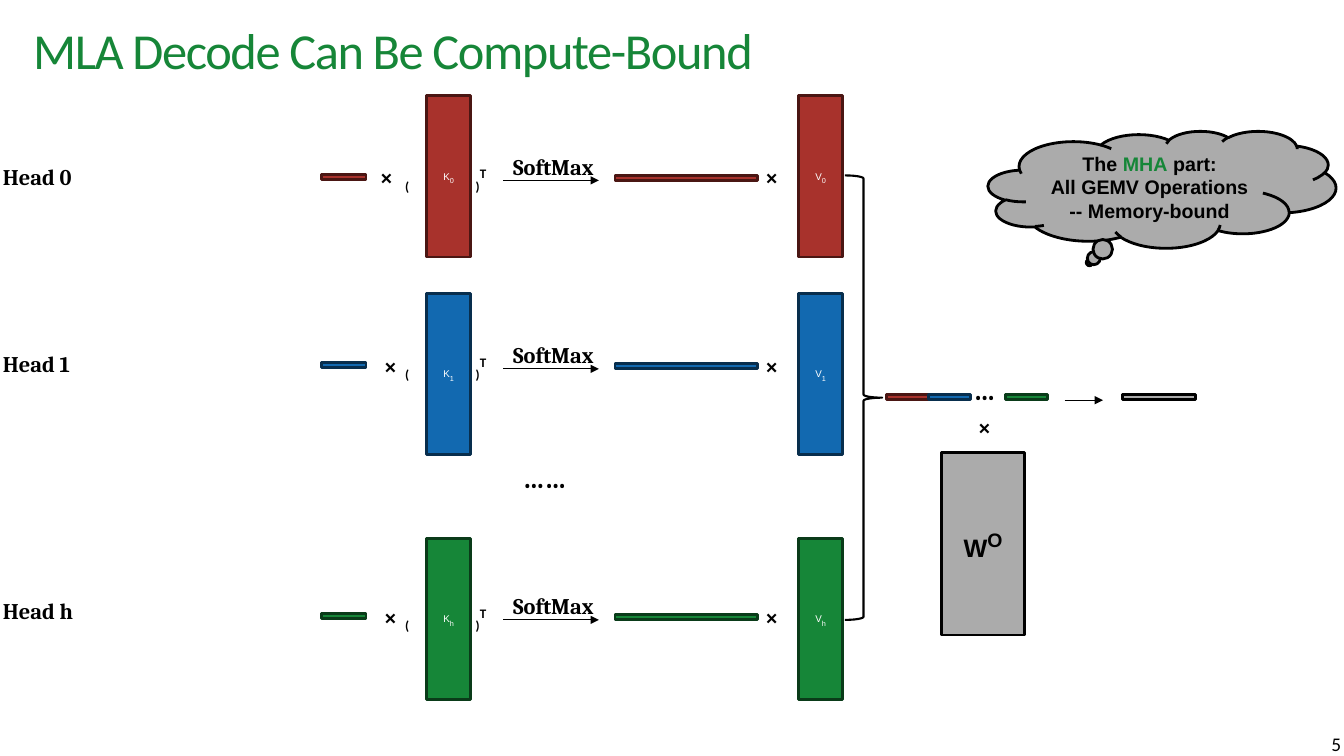
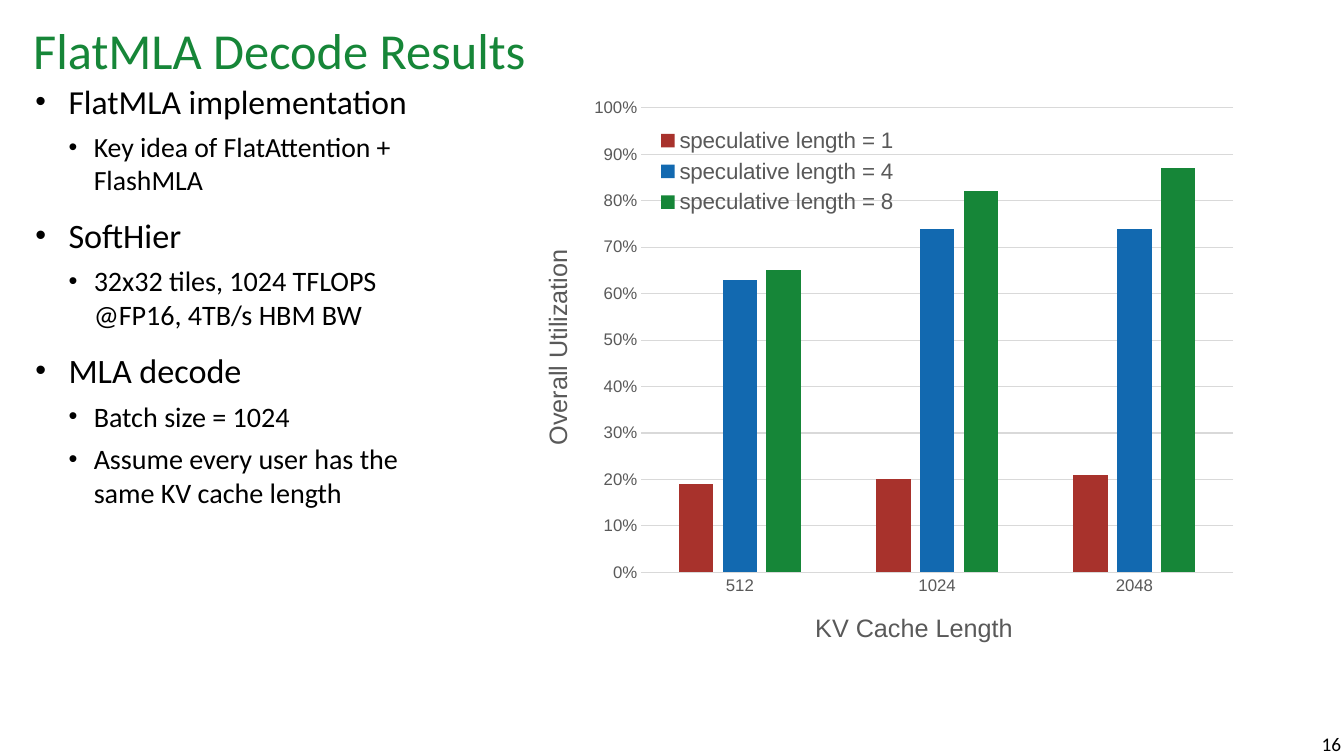
"""Build two slides on MLA decode: the multi-head data flow and utilization results."""
from lxml.etree import SubElement
from pptx import Presentation
from pptx.chart.data import CategoryChartData
from pptx.dml.color import RGBColor
from pptx.enum.chart import XL_CHART_TYPE as CHART, XL_LEGEND_POSITION as LEGEND, XL_TICK_MARK as TICK
from pptx.enum.shapes import MSO_CONNECTOR as CONNECTOR, MSO_SHAPE as SHAPE
from pptx.enum.text import MSO_ANCHOR as ANCHOR, PP_ALIGN as ALIGN
from pptx.oxml import parse_xml
from pptx.oxml.ns import nsdecls, qn
from pptx.util import Pt

PX = 9144
COLORS = {
    "black": "000000", "white": "FFFFFF", "gray": "ABABAB",
    "red": "A8322C", "red_edge": "4A1613", "blue": "1269B0", "blue_edge": "082E4D",
    "green": "168638", "green_edge": "0A3B19", "axis": "595959", "grid": "D9D9D9",
}
TITLES = [("MLA Decode Can Be Compute-Bound", "5", -100), ("FlatMLA Decode Results", "16", 0)]
DIAMONDS = [(1212, 42, 41, 41), (1235, 25, 74, 74)]

# index, colour, row top, label top, matrix top, left of the first ×
HEADS = [
    ("0", "red", 157, 157, 95, 367),
    ("1", "blue", 344, 342, 291, 371),
    ("h", "green", 593, 588, 534, 371),
]
MATRICES = [("K", 423), ("V", 792)]
CONCAT = [("red", 879), ("blue", 921), ("green", 997)]
CALLOUT = [
    [("The ", {}), ("MHA", {"color": "green"}), (" part:", {})],
    [("All GEMV Operations", {})],
    [("-- Memory-bound", {})],
]
# level, size, text
BULLETS = [
    (0, 24, "FlatMLA implementation"),
    (1, 19.8, "Key idea of FlatAttention + FlashMLA"),
    (0, 24.4, "SoftHier"),
    (1, 20.1, "32x32 tiles, 1024 TFLOPS @FP16, 4TB/s HBM BW"),
    (0, 24.4, "MLA decode"),
    (1, 20.1, "Batch size = 1024"),
    (1, 20.1, "Assume every user has the same KV cache length"),
]
# space before, left margin, hanging indent
LEVELS = [(12.7, 33, 33), (6.3, 58, 25)]
CHART_BOX = (514, 87, 724, 616)
CATEGORIES = ["512", "1024", "2048"]
SERIES = [
    ("speculative length = 1", "red", (0.19, 0.20, 0.21)),
    ("speculative length = 4", "blue", (0.63, 0.74, 0.74)),
    ("speculative length = 8", "green", (0.65, 0.82, 0.87)),
]


def rgb(name):
    return RGBColor.from_string(COLORS[name])


def px(*values):
    return [v * PX for v in values]


def style(font, size, face, color, bold=False):
    font.size, font.name, font.bold = Pt(size), face, bold
    font.color.rgb = rgb(color)


def write(tf, lines, size, face, color="black", bold=False, align=ALIGN.LEFT):
    for i, runs in enumerate(lines):
        p = tf.paragraphs[0] if i == 0 else tf.add_paragraph()
        p.alignment = align
        for text, extra in runs:
            r = p.add_run()
            r.text = text
            style(r.font, extra.get("size", size), face, extra.get("color", color), bold)
            for key in ("baseline", "spc"):
                if extra.get(key):
                    r._r.get_or_add_rPr().set(key, str(extra[key]))


def add_text(s, box, runs, size, face, **look):
    tf = s.shapes.add_textbox(*px(*box)).text_frame
    tf.word_wrap = True
    write(tf, [runs], size, face, **look)
    return tf


def add_mark(s, x, y, w, text, size=16):
    add_text(s, (x, y, w, 37), [(text, {})], size, "Cambria", bold=True)


def add_shape(s, kind, box, fill, edge="black", weight=2):
    sp = s.shapes.add_shape(kind, *px(*box))
    sp.shadow.inherit = False
    if fill:
        sp.fill.solid()
        sp.fill.fore_color.rgb = rgb(fill)
    else:
        sp.fill.background()
    if edge:
        sp.line.color.rgb = rgb(edge)
        sp.line.width = Pt(weight)
    else:
        sp.line.fill.background()
    sp.text_frame.vertical_anchor = ANCHOR.MIDDLE
    return sp


def add_block(s, box, color):
    return add_shape(s, SHAPE.RECTANGLE, box, color, color + "_edge")


def add_arrow(s, x1, x2, y):
    line = s.shapes.add_connector(CONNECTOR.STRAIGHT, *px(x1, y, x2, y))
    line.line.color.rgb = rgb("black")
    line.line.width = Pt(0.75)
    SubElement(line.line._get_or_add_ln(), qn("a:tailEnd"), type="triangle")
    SubElement(line._element.spPr, qn("a:effectLst"))


def add_slide(prs, title, number, spacing):
    s = prs.slides.add_slide(prs.slide_layouts[6])
    for box in DIAMONDS:
        sp = add_shape(s, SHAPE.ROUNDED_RECTANGLE, box, "white", None)
        sp.adjustments[0] = 0.05
        sp.rotation = 45
    tf = add_text(s, (33, 19, 1273, 68), [(title, {"spc": spacing})], 36, "Calibri", color="green")
    tf.margin_left = tf.margin_right = tf.margin_top = tf.margin_bottom = 0
    tf.vertical_anchor = ANCHOR.MIDDLE
    tf.paragraphs[0].line_spacing = 0.9
    tf = add_text(s, (1247, 720, 93, 34), [(number, {})], 13.8, "Calibri", align=ALIGN.RIGHT)
    tf.vertical_anchor = ANCHOR.BOTTOM
    return s


def draw_head(s, index, color, top, label_top, matrix_top, times_x):
    add_mark(s, -7, label_top, 141, f"Head {index}")
    add_block(s, (319, top + 16, 44, 5), color)
    add_mark(s, times_x, top, 32, "×")
    sub, sup = {"baseline": -25000}, {"baseline": 30000}
    for x, runs in [(392, [("(", sub)]), (462, [(")", sub), ("T", sup)])]:
        add_text(s, (x, top, 36, 28), runs, 16, "Calibri", bold=True)
    add_arrow(s, 499, 594, top + 22)
    add_mark(s, 499, top - 10, 141, "SoftMax")
    add_block(s, (610, top + 17, 141, 5), color)
    add_mark(s, 749, top, 32, "×")
    for letter, x in MATRICES:
        sp = add_block(s, (x, matrix_top, 44, 160), color)
        runs = [(letter, {}), (index, {"size": 9, "baseline": -25000})]
        write(sp.text_frame, [runs], 7, "Arial", "white", align=ALIGN.CENTER)


def draw_flow(s):
    for head in HEADS:
        draw_head(s, *head)
    add_mark(s, 509, 452, 145, "……", 20)
    add_shape(s, SHAPE.RIGHT_BRACE, (838, 174, 37, 441), None, weight=1.5)
    for color, x in CONCAT:
        add_block(s, (x, 391, 42, 5), color)
    add_mark(s, 956, 365, 48, "…", 20)
    add_mark(s, 960, 405, 32, "×")
    sp = add_shape(s, SHAPE.RECTANGLE, (934, 449, 82, 181), "gray")
    runs = [("W", {}), ("O", {"size": 24, "baseline": 30000})]
    write(sp.text_frame, [runs], 18, "Arial", bold=True, align=ALIGN.CENTER)
    add_arrow(s, 1056, 1094, 397)
    add_shape(s, SHAPE.RECTANGLE, (1113, 391, 73, 5), "gray")
    sp = add_shape(s, SHAPE.CLOUD_CALLOUT, (980, 130, 345, 116), "gray")
    write(sp.text_frame, CALLOUT, 14, "Arial", bold=True, align=ALIGN.CENTER)


def draw_bullets(s):
    tf = s.shapes.add_textbox(*px(35, 75, 388, 560)).text_frame
    tf.word_wrap = True
    tf.margin_left = tf.margin_right = 0
    for i, (level, size, text) in enumerate(BULLETS):
        before, left, hang = LEVELS[level]
        p = tf.paragraphs[0] if i == 0 else tf.add_paragraph()
        p.text = text
        p.level = level
        if i:
            p.space_before = Pt(before)
        pPr = p._p.get_or_add_pPr()
        pPr.set("marL", str(left * PX))
        pPr.set("indent", str(-hang * PX))
        SubElement(pPr, qn("a:buSzPct"), val="90000")
        SubElement(pPr, qn("a:buFont"), typeface="Arial")
        SubElement(pPr, qn("a:buChar"), char="•")
        style(p.runs[0].font, size, "Calibri", "black")


def place(element, index, *box, inner=False):
    for old in element.findall(qn("c:layout")):
        element.remove(old)
    target = '<c:layoutTarget val="inner"/>' if inner else ""
    modes = "".join(f'<c:{k}Mode val="edge"/>' for k in "xy")
    width, height = CHART_BOX[2:]
    values = "".join(f'<c:{k} val="{v / full}"/>' for k, v, full in zip("xywh", box, (width, height) * 2))
    xml = f'<c:layout {nsdecls("c")}><c:manualLayout>{target}{modes}{values}</c:manualLayout></c:layout>'
    element.insert(index, parse_xml(xml))


def style_axis(axis, title, x, y):
    axis.major_tick_mark = axis.minor_tick_mark = TICK.NONE
    style(axis.tick_labels.font, 12, "Arial", "axis")
    tf = axis.axis_title.text_frame
    tf.text = title
    style(tf.paragraphs[0].runs[0].font, 18, "Arial", "axis")
    place(axis.axis_title._element, 1, x, y)


def thin_line(line):
    line.color.rgb = rgb("grid")
    line.width = Pt(0.75)


def draw_chart(s):
    data = CategoryChartData(number_format="0%")
    data.categories = CATEGORIES
    for name, _, values in SERIES:
        data.add_series(name, values)
    chart = s.shapes.add_chart(CHART.COLUMN_CLUSTERED, *px(*CHART_BOX), data).chart
    chart.has_title = False
    style(chart.font, 12, "Arial", "black")
    plot = chart.plots[0]
    plot.gap_width, plot.overlap, plot.vary_by_categories = 219, -27, False
    for ser, (_, color, _) in zip(plot.series, SERIES):
        ser.format.fill.solid()
        ser.format.fill.fore_color.rgb = rgb(color)
    cat, val = chart.category_axis, chart.value_axis
    style_axis(cat, "KV Cache Length", 290, 515)
    thin_line(cat.format.line)
    style_axis(val, "Overall Utilization", 18, 156)
    val.format.line.fill.background()
    val.minimum_scale, val.maximum_scale, val.major_unit = 0, 1, 0.1
    val.tick_labels.number_format = "0%"
    val.tick_labels.number_format_is_linked = False
    thin_line(val.major_gridlines.format.line)
    chart.has_legend = True
    legend = chart.legend
    legend.position = LEGEND.RIGHT
    legend.include_in_layout = False
    style(legend.font, 16, "Arial", "axis")
    place(legend._element, 1, 134, 34, 246, 98)
    place(chart._chartSpace.chart.plotArea, 0, 122, 20, 587, 461, inner=True)


def main():
    prs = Presentation()
    prs.slide_width, prs.slide_height = px(1333, 750)
    flow, results = [add_slide(prs, *title) for title in TITLES]
    draw_flow(flow)
    draw_bullets(results)
    draw_chart(results)
    prs.save("out.pptx")


if __name__ == "__main__":
    main()
